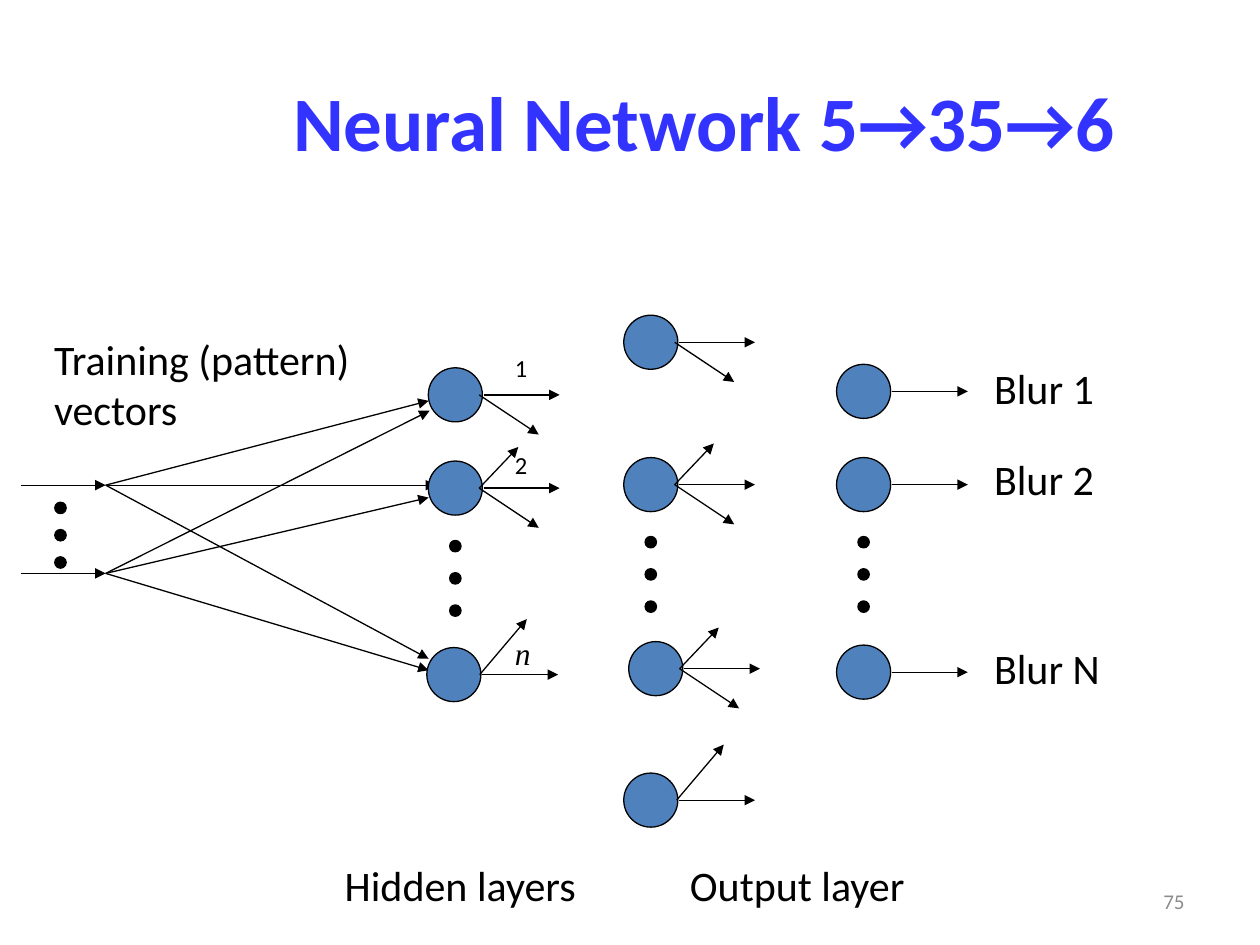
"""Builds a slide that shows a layered neural network."""
from lxml import etree
from pptx import Presentation
from pptx import util as u
from pptx.dml.color import RGBColor
from pptx.enum import shapes, text
from pptx.oxml.ns import qn

BLACK = RGBColor(0x00, 0x00, 0x00)
BLUE = RGBColor(0x4F, 0x81, 0xBD)
TITLE_BLUE = RGBColor(0x33, 0x33, 0xFF)
GREY = RGBColor(0x8C, 0x8C, 0x8C)
NODE_SIZE = 1.09
DOT_SIZE = 0.23
FAN = {
    "straight": ((0.57, 0), (2.1, 0)),
    "down": ((0.48, 0), (1.68, 0.8)),
    "up": ((0.48, 0), (1.27, -0.83)),
    "steep": ((0.52, 0), (1.47, -1.12)),
}


def format_run(run, size, color=BLACK, font="Calibri", bold=False, italic=False):
    """Sets the font of one run."""
    run.font.name = font
    run.font.size = u.Pt(size)
    run.font.color.rgb = color
    run.font.bold = bold
    run.font.italic = italic


def add_label(slide, box, words, size, align=text.PP_ALIGN.LEFT,
              anchor=text.MSO_ANCHOR.TOP, **style):
    """Adds a wrapped text box with one formatted run."""
    shape = slide.shapes.add_textbox(*map(u.Cm, box))
    frame = shape.text_frame
    frame.word_wrap = True
    frame.vertical_anchor = anchor
    paragraph = frame.paragraphs[0]
    paragraph.alignment = align
    run = paragraph.add_run()
    run.text = words
    format_run(run, size, **style)


def add_circle(slide, center, size, color):
    """Adds a filled circle around a center point."""
    x, y = center
    shape = slide.shapes.add_shape(
        shapes.MSO_SHAPE.OVAL, u.Cm(x - size / 2), u.Cm(y - size / 2),
        u.Cm(size), u.Cm(size))
    shape.shadow.inherit = False
    shape.fill.solid()
    shape.fill.fore_color.rgb = color
    shape.line.color.rgb = BLACK
    shape.line.width = u.Pt(0.75)


def add_arrow(slide, start, end):
    """Adds a thin straight arrow between two points."""
    connector = slide.shapes.add_connector(
        shapes.MSO_CONNECTOR.STRAIGHT, *map(u.Cm, (*start, *end)))
    connector.line.color.rgb = BLACK
    connector.line.width = u.Pt(0.75)
    line = connector.line._get_or_add_ln()
    etree.SubElement(line, qn("a:tailEnd"), type="triangle")
    etree.SubElement(connector._element.spPr, qn("a:effectLst"))


def add_dots(slide, x, y, step):
    """Adds a vertical ellipsis of three dots."""
    for index in range(3):
        add_circle(slide, (x, y + index * step), DOT_SIZE, BLACK)


def draw_title(slide, box):
    """Places and formats the title placeholder."""
    title = slide.shapes.title
    title.left, title.top, title.width, title.height = map(u.Cm, box)
    frame = title.text_frame
    frame.vertical_anchor = text.MSO_ANCHOR.MIDDLE
    paragraph = frame.paragraphs[0]
    paragraph.alignment = text.PP_ALIGN.CENTER
    run = paragraph.add_run()
    run.text = "Neural Network 5→35→6"
    format_run(run, 44, TITLE_BLUE, bold=True)


def draw_inputs(slide, left, top):
    """Draws the training vectors and their arrows to the first hidden layer."""
    add_label(slide, (left + 0.41, top, 7.82, 2.29), "Training (pattern) vectors", 24)
    add_dots(slide, left + 0.79, top + 3.64, 0.55)
    targets = {
        3.18: ((8.21, 1.48), (8.36, 3.18), (8.21, 6.68)),
        4.96: ((8.23, 1.68), (8.21, 3.43), (8.21, 6.91)),
    }
    for y, ends in targets.items():
        start = (left + 1.7, top + y)
        add_arrow(slide, (left, top + y), start)
        for dx, dy in ends:
            add_arrow(slide, start, (left + dx, top + dy))


def draw_layer(slide, x, top, nodes, dots):
    """Draws a column of nodes, each given as offset, shift and outgoing arrows."""
    for offset, shift, arrows in nodes:
        center_x, center_y = x + shift, top + offset
        add_circle(slide, (center_x, center_y), NODE_SIZE, BLUE)
        for name in arrows:
            points = [(center_x + dx, center_y + dy) for dx, dy in FAN[name]]
            add_arrow(slide, *points)
    add_dots(slide, x, top + dots, 0.65)


def draw_first_hidden_layer(slide, x, top):
    """Draws the numbered first hidden layer."""
    nodes = [(0, 0, ["straight", "down"]),
             (1.88, 0, ["straight", "down", "up"]),
             (5.64, -0.03, ["straight", "steep"])]
    draw_layer(slide, x, top, nodes, 3.05)
    add_label(slide, (x + 0.95, top - 0.97, 0.86, 0.86), "1", 14)
    add_label(slide, (x + 0.95, top + 0.98, 0.86, 0.86), "2", 14)
    add_label(slide, (x + 0.95, top + 4.69, 0.86, 1.02), "n", 18,
              font="Times New Roman", italic=True)


def draw_second_hidden_layer(slide, x, top):
    """Draws the taller second hidden layer."""
    nodes = [(0, 0, ["straight", "down"]),
             (2.87, 0, ["straight", "down", "up"]),
             (6.58, 0.1, ["straight", "down", "up"]),
             (9.23, 0, ["straight", "steep"])]
    draw_layer(slide, x, top, nodes, 4.03)


def draw_output_layer(slide, x, top):
    """Draws the output layer and its class labels."""
    rows = [(0, "Blur 1", -0.7), (1.88, "Blur 2", -0.75), (5.66, "Blur N", -0.72)]
    draw_layer(slide, x, top, [(y, 0, ["straight"]) for y, _, _ in rows], 3.04)
    for y, name, rise in rows:
        add_label(slide, (x + 2.38, top + y + rise, 3.07, 1.27), name, 24)


def draw_footer(slide, left, top):
    """Draws the layer captions and the slide number."""
    for dx, caption in ((0, "Hidden layers"), (6.96, "Output layer")):
        add_label(slide, (left + dx, top, 6, 1.27), caption, 24)
    add_label(slide, (left + 11.51, top + 0.46, 5.92, 1.01), "75", 12,
              align=text.PP_ALIGN.RIGHT, anchor=text.MSO_ANCHOR.MIDDLE, color=GREY)


def main():
    """Builds and saves the presentation."""
    presentation = Presentation()
    presentation.slide_width = u.Cm(25.4)
    presentation.slide_height = u.Cm(19.05)
    slide = presentation.slides.add_slide(presentation.slide_layouts[5])
    draw_title(slide, (3.2, 0.71, 22, 3.43))
    draw_inputs(slide, 0.43, 6.6)
    draw_first_hidden_layer(slide, 9.18, 7.96)
    draw_second_hidden_layer(slide, 13.12, 6.9)
    draw_output_layer(slide, 17.41, 7.89)
    draw_footer(slide, 6.7, 17.2)
    presentation.save("out.pptx")


if __name__ == "__main__":
    main()
